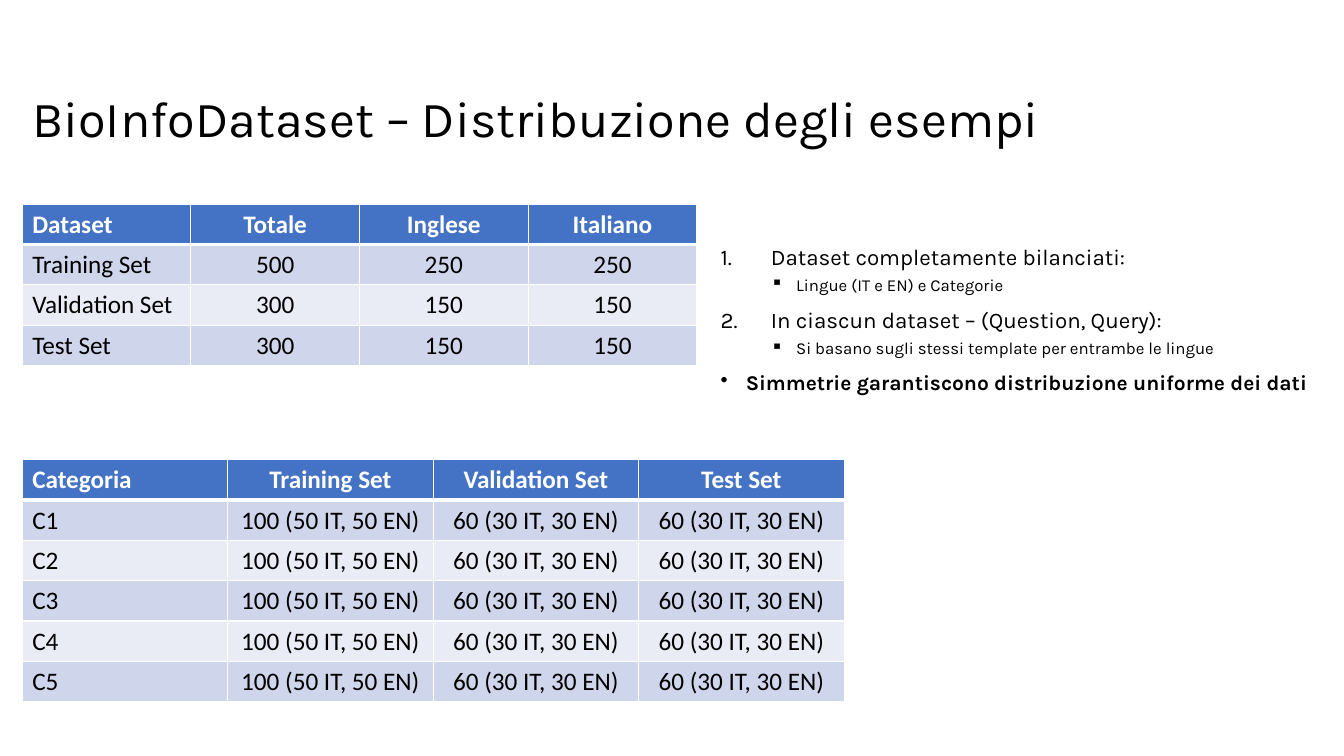
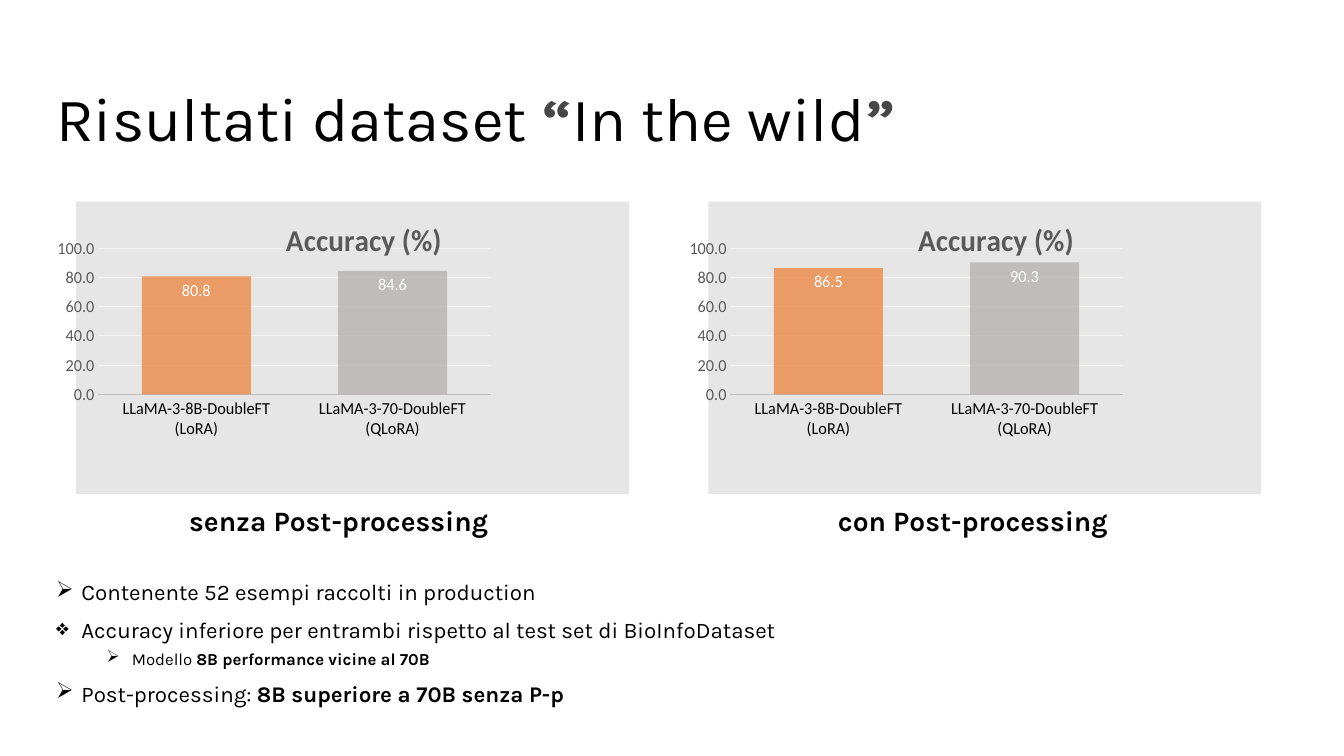
"""Build two slides on the distribution of a data set and on its results."""
from dataclasses import dataclass
from typing import Any

from lxml import etree
from pptx import Presentation
from pptx import util as u
from pptx.chart import data as chart_data
from pptx.dml.color import RGBColor
from pptx.enum import chart as charts, text
from pptx.oxml import ns
from pptx.slide import Slide

HEADING_FONT, TABLE_FONT = "Karla", "Calibri"
BLACK, WHITE, QUOTE, GREY = "000000", "FFFFFF", "474747", "595959"
HEADER, BANDS = "4472C4", ("CFD5EA", "E9EBF5")
PANEL, GRID, AXIS = "E7E6E6", "F2F2F2", "BFBFBF"
BAR_COLOURS = ("ED7D31", "AFABAB")
MODELS = ("LLaMA-3-8B-DoubleFT (LoRA)", "LLaMA-3-70-DoubleFT (QLoRA)")
ROW_HEIGHT = 28.8
CENTER = text.PP_ALIGN.CENTER


@dataclass(frozen=True)
class Box:
    left: float
    top: float
    width: float
    height: float

    def points(self) -> tuple[u.Length, ...]:
        return tuple(u.Pt(value) for value in (self.left, self.top, self.width, self.height))


@dataclass(frozen=True)
class Piece:
    words: str
    bold: bool = False
    colour: str = BLACK


@dataclass(frozen=True)
class Line:
    pieces: tuple[Piece, ...]
    size: float = 16
    bullet: str = ""
    number: int = 0
    level: int = 0
    margin: float = 18
    hanging: float = 18
    before: float = 10
    align: Any = None


@dataclass(frozen=True)
class Grid:
    left: float
    top: float
    column_width: float
    rows: tuple[tuple[str, ...], ...]


@dataclass(frozen=True)
class Result:
    chart_left: float
    caption_left: float
    caption: str
    values: tuple[float, ...]


def colour(value: str) -> RGBColor:
    return RGBColor.from_string(value)


def apply(target: Any, values: dict[str, Any]) -> None:
    for name, value in values.items():
        setattr(target, name, value)


def style_font(font: Any, name: str, size: float, shade: str, bold: bool = False) -> None:
    apply(font, {"name": name, "size": u.Pt(size), "bold": bold})
    font.color.rgb = colour(shade)


def fill_solid(fill: Any, shade: str) -> None:
    fill.solid()
    fill.fore_color.rgb = colour(shade)


def add_child(parent: Any, tag: str, **attributes: Any) -> Any:
    values = {name: str(value) for name, value in attributes.items()}
    return etree.SubElement(parent, ns.qn(tag), values)


def add_text(slide: Slide, box: Box, lines: tuple[Line, ...],
             anchor: Any = text.MSO_ANCHOR.TOP) -> None:
    frame = slide.shapes.add_textbox(*box.points()).text_frame
    apply(frame, {"word_wrap": True, "vertical_anchor": anchor})
    for index, line in enumerate(lines):
        paragraph = frame.add_paragraph() if index else frame.paragraphs[0]
        apply(paragraph, {"level": line.level, "line_spacing": 0.9, "alignment": line.align,
                          "space_before": u.Pt(line.before if index else 0)})
        properties = paragraph._p.get_or_add_pPr()
        properties.set("marL", str(u.Pt(line.margin)))
        properties.set("indent", str(u.Pt(-line.hanging)))
        if line.number:
            add_child(properties, "a:buAutoNum", type="arabicPeriod", startAt=line.number)
        elif line.bullet:
            add_child(properties, "a:buChar", char=line.bullet)
        for piece in line.pieces:
            run = paragraph.add_run()
            run.text = piece.words
            style_font(run.font, HEADING_FONT, line.size, piece.colour, piece.bold)


def add_title(slide: Slide, left: float, width: float, size: float, *pieces: Piece) -> None:
    line = Line(pieces, size, margin=0, hanging=0)
    add_text(slide, Box(left, 34.56, width, 104.4), (line,), text.MSO_ANCHOR.MIDDLE)


def add_borders(cell: Any, row: int) -> None:
    properties = cell._tc.get_or_add_tcPr()
    widths = {"L": 1, "R": 1, "T": 3 if row == 1 else 1, "B": 1 if row else 3}
    for index, (side, width) in enumerate(widths.items()):
        border = add_child(properties, f"a:ln{side}", w=u.Pt(width))
        add_child(add_child(border, "a:solidFill"), "a:srgbClr", val=WHITE)
        properties.insert(index, border)


def add_grid(slide: Slide, grid: Grid) -> None:
    columns, rows = len(grid.rows[0]), len(grid.rows)
    box = Box(grid.left, grid.top, grid.column_width * columns, ROW_HEIGHT * rows)
    table = slide.shapes.add_table(rows, columns, *box.points()).table
    for row, words in enumerate(grid.rows):
        for column, word in enumerate(words):
            cell = table.cell(row, column)
            cell.text = word
            paragraph = cell.text_frame.paragraphs[0]
            paragraph.alignment = CENTER if column else text.PP_ALIGN.LEFT
            style_font(paragraph.runs[0].font, TABLE_FONT, 18, BLACK if row else WHITE, not row)
            fill_solid(cell.fill, BANDS[(row - 1) % 2] if row else HEADER)
            add_borders(cell, row)


def place(element: Any, index: int, inner: bool = False, **position: float) -> None:
    for old in element.findall(ns.qn("c:layout")):
        element.remove(old)
    layout = add_child(element, "c:layout")
    manual = add_child(layout, "c:manualLayout")
    if inner:
        add_child(manual, "c:layoutTarget", val="inner")
    for mode in ("xMode", "yMode"):
        add_child(manual, f"c:{mode}", val="edge")
    for name, value in position.items():
        add_child(manual, f"c:{name}", val=value)
    element.insert(index, layout)


def style_axes(chart: Any) -> None:
    for axis, shade in ((chart.category_axis, BLACK), (chart.value_axis, GREY)):
        apply(axis, {"major_tick_mark": charts.XL_TICK_MARK.NONE,
                     "minor_tick_mark": charts.XL_TICK_MARK.NONE})
        style_font(axis.tick_labels.font, TABLE_FONT, 12, shade)
    base = chart.category_axis.format.line
    fill_solid(base.fill, AXIS)
    base.width = u.Pt(1.25)
    value_axis = chart.value_axis
    apply(value_axis, {"minimum_scale": 0, "maximum_scale": 100, "major_unit": 20})
    value_axis.format.line.fill.background()
    rule = value_axis.major_gridlines.format.line
    fill_solid(rule.fill, GRID)
    rule.width = u.Pt(0.75)


def add_accuracy_chart(slide: Slide, box: Box, values: tuple[float, ...]) -> None:
    data = chart_data.CategoryChartData(number_format="0.0")
    data.categories = MODELS
    data.add_series("Series 1", values)
    kind = charts.XL_CHART_TYPE.COLUMN_CLUSTERED
    chart = slide.shapes.add_chart(kind, *box.points(), data).chart
    apply(chart, {"has_legend": False, "has_title": True})
    style_font(chart.font, TABLE_FONT, 10, BLACK)
    frame = chart.chart_title.text_frame
    frame.text = "Accuracy (%)"
    style_font(frame.paragraphs[0].runs[0].font, TABLE_FONT, 21.6, GREY, True)
    place(chart.chart_title._element, 1, x=0.37, y=0.04)
    style_axes(chart)

    plot = chart.plots[0]
    apply(plot, {"gap_width": 80, "overlap": 25, "vary_by_categories": False,
                 "has_data_labels": True})
    apply(plot.data_labels, {"show_value": True, "number_format": "0.0",
                             "number_format_is_linked": False,
                             "position": charts.XL_LABEL_POSITION.INSIDE_END})
    style_font(plot.data_labels.font, TABLE_FONT, 12, WHITE)
    series = plot.series[0]
    for index, shade in enumerate(BAR_COLOURS):
        fill_solid(series.points[index].format.fill, shade)
    for tint in series._element.iterfind(f".//{ns.qn('c:dPt')}//{ns.qn('a:srgbClr')}"):
        add_child(tint, "a:alpha", val=70000)

    space = chart._chartSpace
    area = space.find(f".//{ns.qn('c:plotArea')}")
    place(area, 0, inner=True, x=0.04, y=0.16, w=0.71, h=0.5)
    panel = etree.Element(ns.qn("c:spPr"))
    add_child(add_child(panel, "a:solidFill"), "a:srgbClr", val=PANEL)
    add_child(add_child(panel, "a:ln"), "a:noFill")
    space.find(ns.qn("c:chart")).addnext(panel)


def detail(bullet: str, *pieces: Piece) -> Line:
    return Line(pieces, 12, bullet, level=1, margin=54, before=5)


def build_distribution(slide: Slide) -> None:
    add_title(slide, 15.84, 802, 36, Piece("BioInfoDataset – Distribuzione degli esempi"))
    add_grid(slide, Grid(15.84, 145.8, 120.5, (
        ("Dataset", "Totale", "Inglese", "Italiano"),
        ("Training Set", "500", "250", "250"),
        ("Validation Set", "300", "150", "150"),
        ("Test Set", "300", "150", "150"))))
    counts = ("100 (50 IT, 50 EN)",) + ("60 (30 IT, 30 EN)",) * 2
    add_grid(slide, Grid(15.84, 328.3, 146.8, (
        ("Categoria", "Training Set", "Validation Set", "Test Set"),
        *((f"C{number}", *counts) for number in range(1, 6)))))
    add_text(slide, Box(507.6, 172, 450, 156), (
        Line((Piece("Dataset completamente bilanciati:"),), number=1, margin=36, hanging=36),
        detail("▪", Piece("Lingue (IT e EN) e Categorie")),
        Line((Piece("In ciascun dataset – (Question, Query):"),), number=2, margin=36, hanging=36),
        detail("▪", Piece("Si basano sugli stessi template per entrambe le lingue")),
        Line((Piece("Simmetrie garantiscono distribuzione uniforme dei dati", True),), 15, "•")))


def build_results(slide: Slide) -> None:
    add_title(slide, 33.1, 785.5, 44, Piece("Risultati dataset "), Piece("“", True, QUOTE),
              Piece("In the wild"), Piece("”", True, QUOTE))
    for result in (Result(41, 0, "senza Post-processing", (80.8, 84.6)),
                   Result(492.5, 453, "con Post-processing", (86.5, 90.3))):
        add_accuracy_chart(slide, Box(result.chart_left, 144, 408.2, 208.8), result.values)
        caption = Line((Piece(result.caption, True),), 20, margin=31, hanging=0, align=CENTER)
        add_text(slide, Box(result.caption_left, 358.6, 453, 33.8), (caption,))
    add_text(slide, Box(33.1, 411.8, 918.7, 115.2), (
        Line((Piece("Contenente 52 esempi raccolti in production"),), bullet="➢"),
        Line((Piece("Accuracy inferiore per entrambi rispetto al test set di BioInfoDataset"),),
             bullet="❖"),
        detail("➢", Piece("Modello "), Piece("8B performance vicine al 70B", True)),
        Line((Piece("Post-processing: "), Piece("8B superiore a 70B senza P-p", True)),
             bullet="➢")))


def main() -> None:
    presentation = Presentation()
    apply(presentation, {"slide_width": u.Pt(960), "slide_height": u.Pt(540)})
    for build in (build_distribution, build_results):
        build(presentation.slides.add_slide(presentation.slide_layouts[6]))
    presentation.save("out.pptx")


if __name__ == "__main__":
    main()
